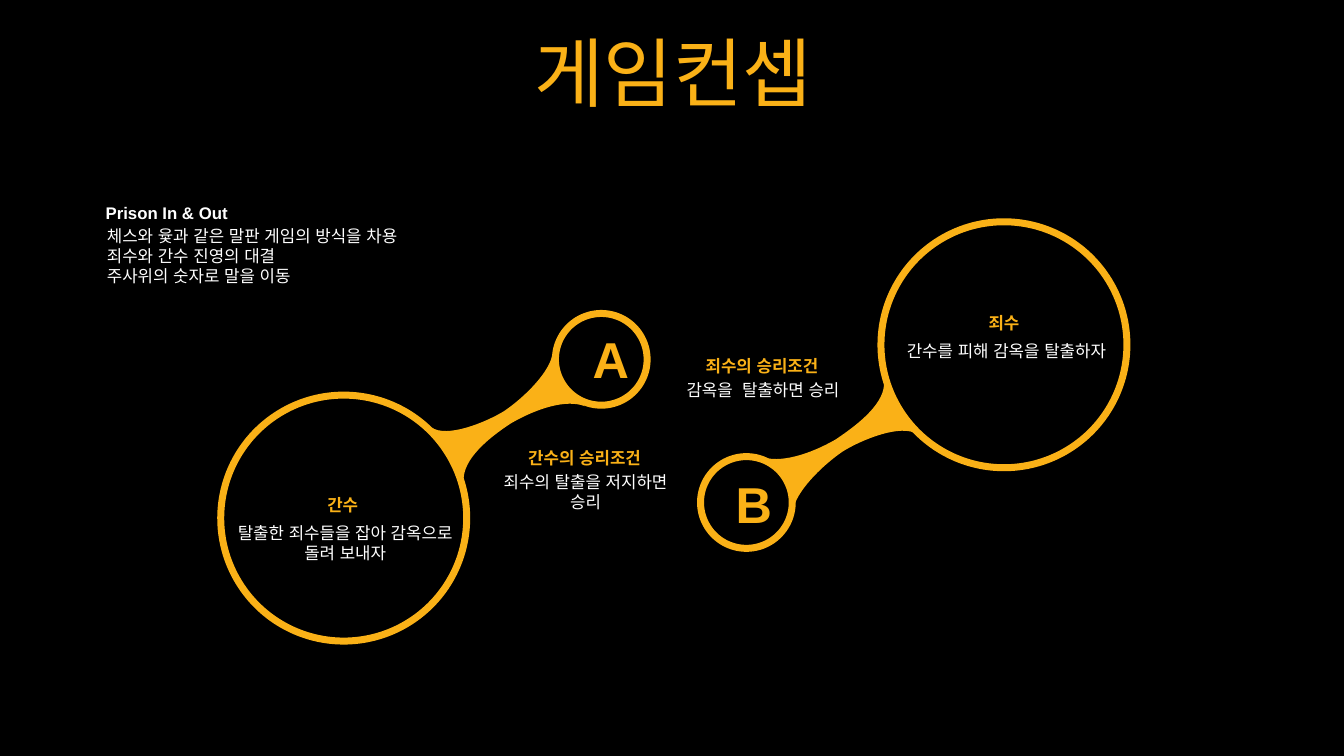
"""Build the game concept slide with two camps joined to their badges."""
from typing import NamedTuple

from lxml.etree import SubElement
from pptx import Presentation
from pptx.dml.color import RGBColor
from pptx.enum.shapes import MSO_SHAPE as Form
from pptx.enum.text import MSO_ANCHOR as Anchor, MSO_AUTO_SIZE as Fit, PP_ALIGN as Align
from pptx.oxml.ns import qn
from pptx.util import Emu, Pt

GOLD = RGBColor(0xFA, 0xB1, 0x17)
WHITE = RGBColor(0xFF, 0xFF, 0xFF)
BLACK = RGBColor(0, 0, 0)
PX = 9144
FACE = "Arial"

Point = tuple[int, int]
Arc = tuple[Point, Point, Point]


class Box(NamedTuple):
    x: int
    y: int
    w: int
    h: int


class Ring(NamedTuple):
    x: int
    y: int
    size: int


class Neck(NamedTuple):
    start: Point
    upper: list[Arc]
    corner: Point
    lower: list[Arc]


class Camp(NamedTuple):
    rings: list[Ring]
    neck: Neck
    angle: float


class Label(NamedTuple):
    text: str
    box: Box
    size: int = 12
    color: RGBColor = WHITE
    bold: bool = False
    align: Align = Align.CENTER
    anchor: Anchor = Anchor.TOP


CAMPS = [
    Camp([Ring(219, 392, 244), Ring(551, 311, 91)],
         Neck((548, 351),
              [((550, 376), (560, 388), (580, 403)),
               ((562, 396), (533, 405), (507, 420)),
               ((484, 435), (459, 456), (460, 477))],
              (428, 424),
              [((443, 435), (482, 419), (500, 408)),
               ((522, 393), (546, 368), (548, 351))]), 58.5),
    Camp([Ring(874, 220, 244), Ring(695, 453, 91)],
         Neck((787, 506),
              [((785, 477), (780, 469), (755, 453)),
               ((773, 460), (803, 451), (829, 436)),
               ((853, 420), (879, 399), (877, 378))],
              (910, 431),
              [((895, 420), (855, 436), (836, 448)),
               ((814, 463), (789, 489), (787, 506))]), 238.5),
]

TITLE = Label("게임컨셉", Box(35, 37, 1266, 79), 54, GOLD, anchor=Anchor.MIDDLE)
RULES = Label("체스와 윷과 같은 말판 게임의 방식을 차용\n"
              "죄수와 간수 진영의 대결\n"
              "주사위의 숫자로 말을 이동",
              Box(96, 219, 376, 91), align=Align.LEFT)
LABELS = [
    Label("A", Box(578, 320, 41, 71), 36, GOLD, True, anchor=Anchor.MIDDLE),
    Label("B", Box(720, 464, 41, 71), 36, GOLD, True, anchor=Anchor.MIDDLE),
    Label("간수를 피해 감옥을 탈출하자", Box(874, 333, 249, 30)),
    Label("죄수", Box(870, 305, 252, 30), color=GOLD, bold=True),
    Label("탈출한 죄수들을 잡아 감옥으로 돌려 보내자", Box(218, 514, 249, 50)),
    Label("간수", Box(214, 486, 252, 30), color=GOLD, bold=True),
    Label("간수의 승리조건", Box(486, 439, 188, 30), color=GOLD, bold=True),
    Label("죄수의 탈출을 저지하면 승리", Box(487, 463, 188, 50)),
    Label("죄수의 승리조건", Box(662, 348, 188, 30), color=GOLD, bold=True),
    Label("감옥을  탈출하면 승리", Box(663, 372, 188, 30)),
    Label("Prison In & Out", Box(95, 196, 377, 30), bold=True,
          align=Align.LEFT, anchor=Anchor.MIDDLE),
]


def place(shape, box: Box) -> None:
    shape.left, shape.top, shape.width, shape.height = (Emu(n * PX) for n in box)


def write(shape, text: str, *, size: int, color: RGBColor, bold: bool,
          align: Align, anchor: Anchor, fit: Fit, lead: float = 1.0) -> None:
    frame = shape.text_frame
    frame.text = text
    frame.word_wrap = True
    frame.auto_size = fit
    frame.vertical_anchor = anchor
    for para in frame.paragraphs:
        para.alignment = align
        para.line_spacing = lead
        para.space_before = Pt(0)
        props = para._p.get_or_add_pPr()
        props.set("marL", "0")
        props.set("indent", "0")
        SubElement(props, qn("a:buNone"))
        for run in para.runs:
            font = run.font
            font.name, font.size, font.bold = FACE, Pt(size), bold
            font.color.rgb = color
            for tag in ("a:ea", "a:cs"):
                SubElement(run._r.rPr, qn(tag), typeface=FACE)


def put(shape, label: Label, fit: Fit = Fit.SHAPE_TO_FIT_TEXT, lead: float = 1.0) -> None:
    place(shape, label.box)
    write(shape, label.text, size=label.size, color=label.color, bold=label.bold,
          align=label.align, anchor=label.anchor, fit=fit, lead=lead)


def draw_ring(slide, ring: Ring, angle: float) -> None:
    shape = slide.shapes.add_shape(Form.OVAL, 0, 0, 0, 0)
    place(shape, Box(ring.x, ring.y, ring.size, ring.size))
    shape.rotation = angle
    shape.shadow.inherit = False
    shape.fill.background()
    shape.line.color.rgb = GOLD
    shape.line.width = Pt(5)


def bend(lines: list) -> None:
    """Turn each run of three line segments into one cubic curve."""
    for i in range(0, len(lines), 3):
        trio = lines[i:i + 3]
        arc = trio[0].makeelement(qn("a:cubicBezTo"))
        trio[0].addprevious(arc)
        for line in trio:
            arc.append(line[0])
            line.getparent().remove(line)


def draw_neck(slide, neck: Neck) -> None:
    upper = [spot for arc in neck.upper for spot in arc]
    lower = [spot for arc in neck.lower for spot in arc]
    pen = slide.shapes.build_freeform(*neck.start, scale=PX)
    pen.add_line_segments([*upper, neck.corner, *lower], close=True)
    shape = pen.convert_to_shape()
    lines = list(shape._element.iter(qn("a:lnTo")))
    bend(lines[:len(upper)])
    bend(lines[len(upper) + 1:len(upper) + 1 + len(lower)])
    shape.shadow.inherit = False
    shape.fill.solid()
    shape.fill.fore_color.rgb = GOLD
    shape.line.fill.background()


def main() -> None:
    deck = Presentation()
    deck.slide_width, deck.slide_height = Emu(12192000), Emu(750 * PX)
    slide = deck.slides.add_slide(deck.slide_layouts[1])
    slide.background.fill.solid()
    slide.background.fill.fore_color.rgb = BLACK
    put(slide.shapes.title, TITLE, Fit.NONE, 0.9)
    put(slide.placeholders[1], RULES, Fit.NONE)
    for camp in CAMPS:
        for ring in camp.rings:
            draw_ring(slide, ring, camp.angle)
        draw_neck(slide, camp.neck)
    for label in LABELS:
        put(slide.shapes.add_textbox(0, 0, 0, 0), label)
    deck.save("out.pptx")


if __name__ == "__main__":
    main()
